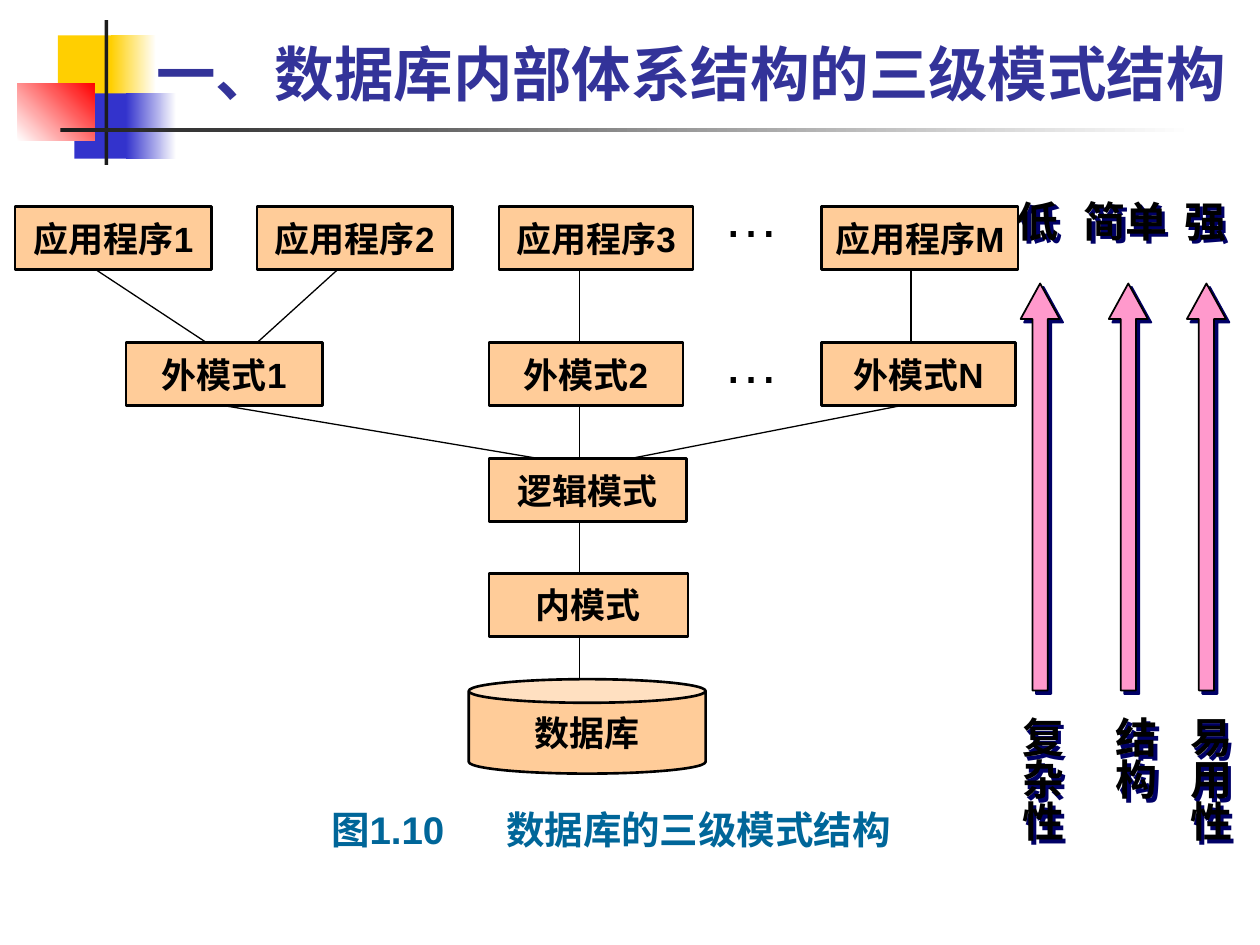
from dataclasses import dataclass

from lxml.etree import SubElement
from pptx import Presentation
from pptx.dml.color import RGBColor as Color
from pptx.enum.shapes import MSO_CONNECTOR as Connector, MSO_SHAPE as Shape
from pptx.enum.text import MSO_ANCHOR as Anchor, MSO_AUTO_SIZE as AutoSize, PP_ALIGN as Align
from pptx.oxml.ns import qn
from pptx.util import Inches, Pt


@dataclass(frozen=True)
class Theme:
    font: str = "Arial"
    title_font: str = "Roboto"
    black: str = "000000"
    white: str = "FFFFFF"
    ink: str = "1C1C1C"
    yellow: str = "FFCF01"
    blue: str = "3333CC"
    red: str = "FF0000"
    title: str = "333399"
    caption: str = "006699"
    node: str = "FFCC99"
    arrow: str = "FF99CC"
    shadow: str = "000066"
    title_size: int = 34
    dots_size: int = 32
    scale_size: int = 24
    caption_size: int = 22
    node_size: int = 20


class SlideBuilder:
    def __init__(self, slide, theme):
        self.slide = slide
        self.theme = theme

    def shape(self, kind, area, fill, line_width=0):
        shape = self.slide.shapes.add_shape(kind, *map(Inches, area))
        shape.shadow.inherit = False
        shape.fill.solid()
        shape.fill.fore_color.rgb = Color.from_string(fill)
        if line_width:
            shape.line.color.rgb = Color.from_string(self.theme.black)
            shape.line.width = Pt(line_width)
        else:
            shape.line.fill.background()
        return shape

    def fade(self, area, start, end, angle=0):
        shape = self.shape(Shape.RECTANGLE, area, start)
        shape.fill.gradient()
        shape.fill.gradient_angle = angle
        for stop, color in zip(shape.fill.gradient_stops, (start, end)):
            stop.color.rgb = Color.from_string(color)

    def set_text(self, shape, text, size, color, frame_format, align=Align.LEFT, tab=None, **font_format):
        frame = shape.text_frame
        for name, value in frame_format.items():
            setattr(frame, name, value)
        para = frame.paragraphs[0]
        para.alignment = align
        if tab:
            tabs = SubElement(para._p.get_or_add_pPr(), qn("a:tabLst"))
            SubElement(tabs, qn("a:tab"), pos=str(Inches(tab)), algn="l")
        span = para.add_run()
        span.text = text
        values = {"name": self.theme.font, "size": Pt(size), "bold": True, **font_format}
        for name, value in values.items():
            setattr(span.font, name, value)
        span.font.color.rgb = Color.from_string(color)

    def text(self, area, text, size, color, frame_format=None, **options):
        box = self.slide.shapes.add_textbox(*map(Inches, area))
        self.set_text(box, text, size, color, {"word_wrap": True, **(frame_format or {})}, **options)
        return box

    def node(self, area, text, kind=Shape.RECTANGLE):
        node = self.shape(kind, area, self.theme.node, 1.5)
        frame_format = {"word_wrap": False, "vertical_anchor": Anchor.MIDDLE}
        self.set_text(node, text, self.theme.node_size, self.theme.black, frame_format, align=Align.CENTER)
        return node

    def line(self, start, end):
        line = self.slide.shapes.add_connector(Connector.STRAIGHT, *map(Inches, start + end))
        line.line.color.rgb = Color.from_string(self.theme.black)
        line.line.width = Pt(0.75)
        SubElement(line._element.spPr, qn("a:effectLst"))
        return line

    def drop_shadow(self, shape):
        shape.shadow.inherit = False
        effects = shape._element.spPr.find(qn("a:effectLst"))
        shadow = SubElement(effects, qn("a:outerShdw"), dist=str(Pt(2.8)), dir="2700000", algn="ctr", rotWithShape="0")
        SubElement(shadow, qn("a:srgbClr"), val=self.theme.shadow)

    def scale_label(self, area, text, vertical=False):
        margins = {f"margin_{side}": 0 for side in ("left", "top", "right", "bottom")}
        frame_format = {"word_wrap": False, "auto_size": AutoSize.SHAPE_TO_FIT_TEXT, **margins}
        align = Align.CENTER if vertical else Align.LEFT
        label = self.text(area, text, self.theme.scale_size, self.theme.black, frame_format, align=align)
        if vertical:
            label.text_frame._txBody.bodyPr.set("vert", "eaVert")
        self.drop_shadow(label)

    def scale_arrow(self, left):
        arrow = self.shape(Shape.UP_ARROW, (left, 2.25, 0.31, 3.23), self.theme.arrow, 1)
        arrow.adjustments[0] = 0.39
        arrow.adjustments[1] = 0.91
        self.drop_shadow(arrow)


def main():
    theme = Theme()
    deck = Presentation()
    deck.slide_width, deck.slide_height = Inches(10), Inches(7.5)
    page = SlideBuilder(deck.slides.add_slide(deck.slide_layouts[6]), theme)

    page.shape(Shape.RECTANGLE, (0.46, 0.28, 0.48, 0.52), theme.yellow)
    page.fade((0.88, 0.28, 0.36, 0.52), theme.yellow, theme.white)
    page.shape(Shape.RECTANGLE, (0.59, 0.74, 0.46, 0.52), theme.blue)
    page.fade((1, 0.74, 0.4, 0.52), theme.blue, theme.white)
    page.fade((0.14, 0.66, 0.61, 0.46), theme.white, theme.red, 45)
    page.shape(Shape.RECTANGLE, (0.83, 0.16, 0.03, 1.15), theme.ink)
    page.fade((0.48, 1.02, 9, 0.03), theme.ink, theme.white)
    page.text((1.14, 0.23, 8.8, 0.68), "一、数据库内部体系结构的三级模式结构", theme.title_size, theme.title,
              {"vertical_anchor": Anchor.BOTTOM}, name=theme.title_font)

    page.node((3.72, 5.39, 1.88, 0.75), "数据库", Shape.CAN)
    program, external, logical, internal, database = 1.64, 2.72, 3.64, 4.55, 5.39
    height = 0.5
    nodes = {
        text: page.node((left, top, width, height), text)
        for text, left, top, width in (
            ("应用程序1", 0.12, program, 1.56),
            ("应用程序2", 2.04, program, 1.55),
            ("应用程序3", 3.96, program, 1.54),
            ("应用程序M", 6.52, program, 1.56),
            ("外模式1", 1, external, 1.56),
            ("外模式2", 3.88, external, 1.54),
            ("外模式N", 6.52, external, 1.54),
            ("逻辑模式", 3.88, logical, 1.57),
            ("内模式", 3.88, internal, 1.58),
        )
    }

    axis = 4.6
    for start, upper, end, lower in (
        (0.76, program, 1.64, external),
        (2.68, program, 2.04, external),
        (7.23, program, 7.23, external),
        (axis, program, axis, external),
        (axis, external, axis, logical),
        (axis, logical, axis, internal),
        (axis, internal, axis, database),
        (7.15, external, 5, logical),
    ):
        page.line((start, upper + height), (end, lower))
    page.line((1.78, external + height), (4.28, logical)).begin_connect(nodes["外模式1"], 2)

    for top, width in ((1.39, 0.64), (2.55, 0.8)):
        page.text((5.64, top, width, 0.63), "…", theme.dots_size, theme.black, bold=False)
    page.text((2.53, 6.35, 5.36, 0.47), "图1.10\t数据库的三级模式结构", theme.caption_size, theme.caption, tab=1.39)

    for arrow_left, head, head_left, head_width, foot, foot_left, foot_height in (
        (8.1, "低", 8.07, 0.34, "复杂性", 8.07, 0.98),
        (8.8, "简单", 8.6, 0.67, "结构", 8.81, 0.66),
        (9.42, "强", 9.4, 0.34, "易用性", 9.4, 0.98),
    ):
        page.scale_arrow(arrow_left)
        page.scale_label((head_left, 1.55, head_width, 0.4), head)
        page.scale_label((foot_left, 5.69, 0.4, foot_height), foot, vertical=True)

    deck.save("out.pptx")


if __name__ == "__main__":
    main()
